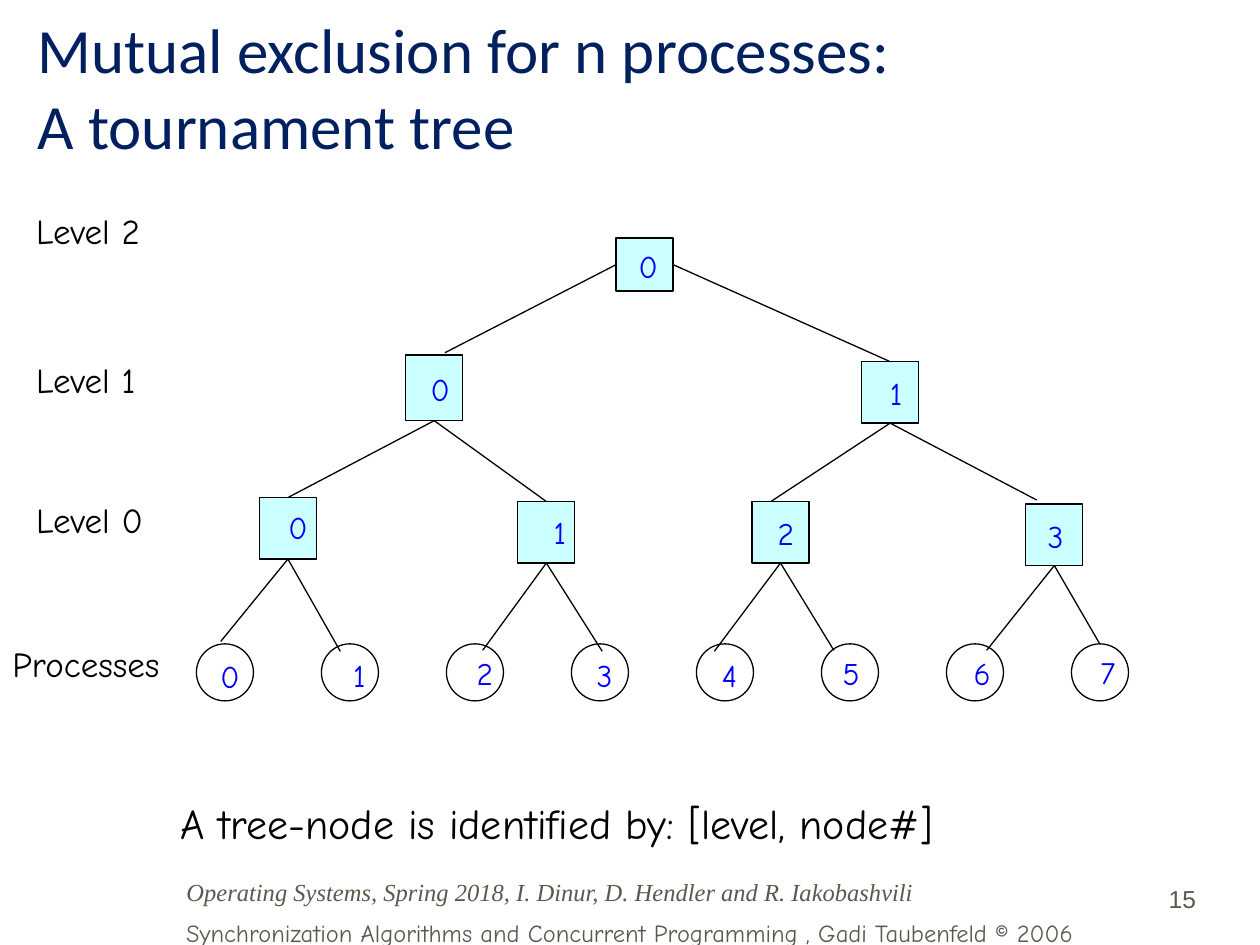
import pptx
import pptx.dml.color
import pptx.enum.shapes
import pptx.enum.text
import pptx.oxml.ns
import pptx.util
from lxml import etree

Cm = pptx.util.Cm
Pt = pptx.util.Pt
ALIGN = pptx.enum.text.PP_ALIGN
ANCHOR = pptx.enum.text.MSO_ANCHOR
SHAPE = pptx.enum.shapes.MSO_SHAPE

COLOURS = {
    "title": "002060",
    "text": "000000",
    "number": "0000FF",
    "node": "CCFFFF",
    "footer": "5E574E",
    "paper": "FFFFFF",
}
TOP, LEFT, BOTTOM, RIGHT = range(4)
NODE_WIDTH = 1.15

# Per level, from the root down: left, top and height of each node,
# then left and top of its number.
TREE = [
    [(12.42, 4.8, 1.07, 12.01, 4.85)],
    [(8.18, 7.16, 1.32, 7.82, 7.34), (17.37, 7.29, 1.24, 16.94, 7.42)],
    [(5.23, 10.03, 1.24, 4.95, 10.11), (10.44, 10.11, 1.24, 10.16, 10.21),
     (15.16, 10.11, 1.24, 14.76, 10.24), (20.68, 10.16, 1.24, 20.19, 10.29)],
]
# Where the edge into each child ends; None joins it to the child's top side.
EDGE_ENDS = [
    [(8.97, 7.11), None],
    [None, None, (15.54, 10.11), (20.9, 10.08)],
    [(4.45, 12.93), (6.86, 13.13), (9.73, 13.11), (12.14, 13.13),
     (14.4, 13.13), (16.81, 13.11), (19.89, 13.11), (22.17, 12.98)],
]
PROCESS_LEFT, PROCESS_TOP, PROCESS_STEP = 3.96, 12.98, 2.52
PROCESS_NUMBERS = [(3.58, 13.13), (6.12, 13.11), (8.69, 13.06), (11.1, 13.11),
                   (13.61, 13.11), (16.08, 13.06), (18.72, 13.06), (21.23, 13.03)]
ROW_LABELS = [("Level 2", 0.48, 4.09), ("Level 1", 0.48, 7.11),
              ("Level 0", 0.48, 9.93), ("Processes", 0, 12.83)]


def rgb(name):
    return pptx.dml.color.RGBColor.from_string(COLOURS[name])


def write(shape, text, font="Comic Neue", size=20, colour="text", italic=False,
          align=ALIGN.LEFT, anchor=ANCHOR.TOP):
    frame = shape.text_frame
    frame.word_wrap = True
    frame.vertical_anchor = anchor
    para = frame.paragraphs[0]
    para.alignment = align
    for index, line in enumerate(text.split("\n")):
        if index:
            para.add_line_break()
        span = para.add_run()
        span.text = line
        span.font.name = font
        span.font.size = Pt(size)
        span.font.italic = italic
        span.font.color.rgb = rgb(colour)


class TreePage:
    """Holds the current slide and the line style of the tree."""

    line_width = Pt(0.75)

    def __init__(self, page):
        self.page = page

    def text(self, text, left, top, width, height, **style):
        box = self.page.shapes.add_textbox(Cm(left), Cm(top), Cm(width), Cm(height))
        write(box, text, **style)

    def shape(self, kind, left, top, width, height, fill=None, outlined=True):
        shape = self.page.shapes.add_shape(kind, Cm(left), Cm(top), Cm(width), Cm(height))
        shape.shadow.inherit = False
        if fill:
            shape.fill.solid()
            shape.fill.fore_color.rgb = rgb(fill)
        else:
            shape.fill.background()
        if outlined:
            shape.line.color.rgb = rgb("text")
            shape.line.width = self.line_width
        else:
            shape.line.fill.background()
        return shape

    def number(self, value, left, top):
        self.text(str(value), left, top, 1.5, 1.02, size=18, colour="number",
                  align=ALIGN.RIGHT)

    def edge(self, parent, side, child, end):
        """Draw a line from a side of parent to a point, or to the top of child."""
        x, y = end or (0, 0)
        line = self.page.shapes.add_connector(
            pptx.enum.shapes.MSO_CONNECTOR.STRAIGHT, 0, 0, Cm(x), Cm(y))
        line.begin_connect(parent, side)
        if end is None:
            line.end_connect(child, TOP)
        line.line.color.rgb = rgb("text")
        line.line.width = self.line_width
        properties = line._element.spPr
        etree.SubElement(properties, pptx.oxml.ns.qn("a:effectLst"))


def draw_tree(page):
    levels = [[page.shape(SHAPE.RECTANGLE, left, top, NODE_WIDTH, height, fill="node")
               for left, top, height, *_ in level] for level in TREE]
    levels.append([page.shape(SHAPE.OVAL, PROCESS_LEFT + index * PROCESS_STEP,
                              PROCESS_TOP, NODE_WIDTH, NODE_WIDTH)
                   for index in range(len(PROCESS_NUMBERS))])

    for depth, ends in enumerate(EDGE_ENDS):
        sides = (BOTTOM, BOTTOM) if depth else (LEFT, RIGHT)
        for index, end in enumerate(ends):
            page.edge(levels[depth][index // 2], sides[index % 2],
                      levels[depth + 1][index], end)

    number_rows = [[node[3:] for node in level] for level in TREE] + [PROCESS_NUMBERS]
    for row in number_rows:
        for value, (left, top) in enumerate(row):
            page.number(value, left, top)


def main():
    deck = pptx.Presentation()
    deck.slide_width, deck.slide_height = Cm(25.4), Cm(19.05)
    page = TreePage(deck.slides.add_slide(deck.slide_layouts[6]))

    page.text("Operating Systems, Spring 2018, I. Dinur, D. Hendler and R. Iakobashvili",
              3.51, 17.53, 16.21, 0.86, font="Times New Roman", size=14,
              colour="footer", italic=True, anchor=ANCHOR.BOTTOM)
    page.text("15", 21.44, 17.27, 2.92, 1.27, font="Arial", size=14, colour="footer",
              align=ALIGN.RIGHT, anchor=ANCHOR.BOTTOM)
    page.text("Mutual exclusion for n processes:\nA tournament tree",
              0.51, 0.15, 24.89, 3.18, font="Calibri", size=36, colour="title",
              anchor=ANCHOR.MIDDLE)
    draw_tree(page)
    for label, left, top in ROW_LABELS:
        page.text(label, left, top, 4.29, 1.12)
    page.text("A tree-node is identified by: [level, node#]",
              3.38, 15.95, 18.06, 1.27, size=24)
    credit = page.shape(SHAPE.RECTANGLE, 0, 18.39, 25.4, 0.86, fill="paper", outlined=False)
    write(credit, "Synchronization Algorithms and Concurrent Programming , "
                  "Gadi Taubenfeld © 2006",
          size=14, colour="footer", align=ALIGN.CENTER)

    deck.save("out.pptx")


if __name__ == "__main__":
    main()
